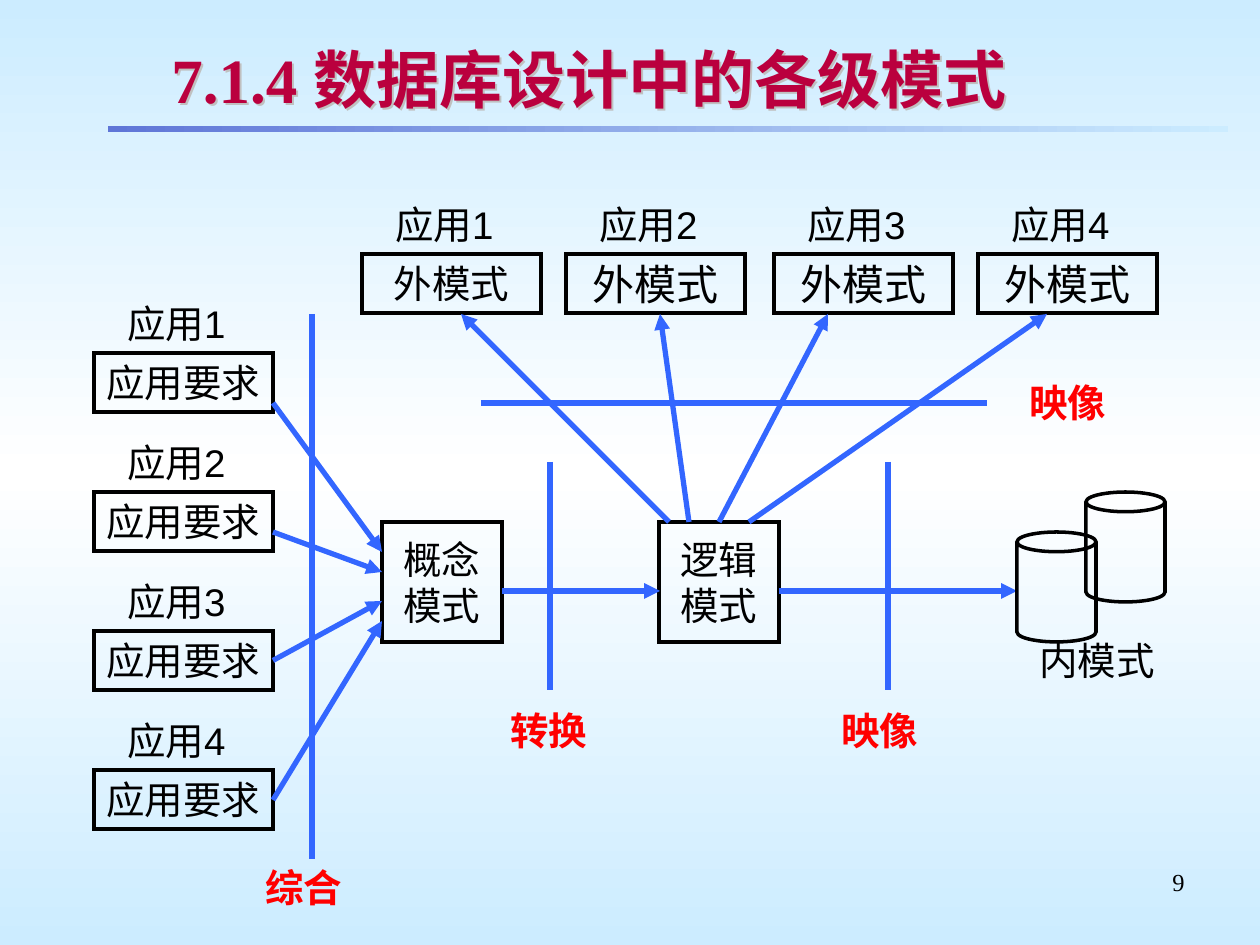
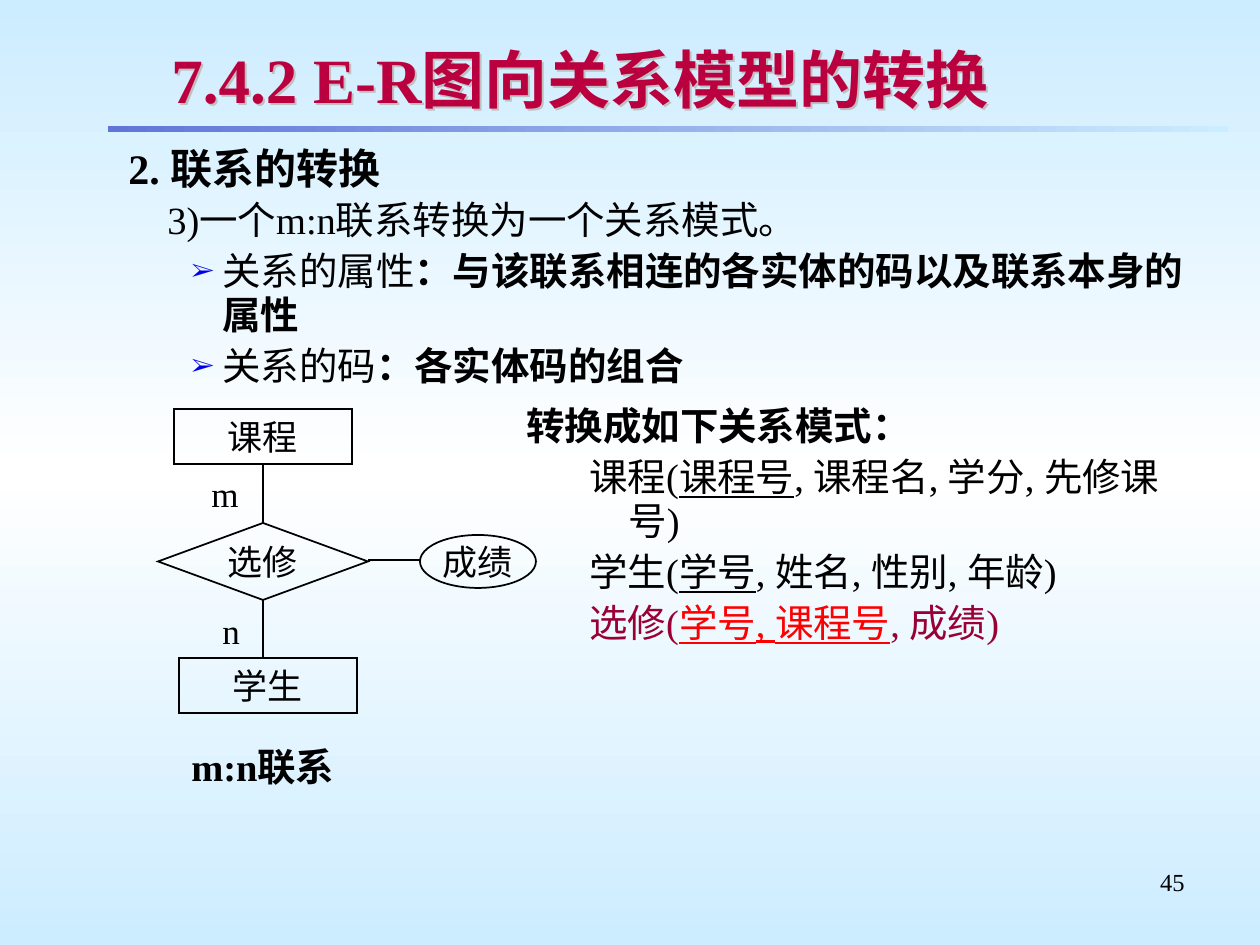
from copy import deepcopy
from dataclasses import dataclass, field
from itertools import zip_longest

from lxml.etree import SubElement
from pptx import Presentation
from pptx.dml.color import RGBColor
from pptx.enum.shapes import MSO_CONNECTOR, MSO_SHAPE
from pptx.enum.text import MSO_ANCHOR, PP_ALIGN
from pptx.oxml.ns import qn
from pptx.util import Emu, Pt

EMU_PER_PX = 914400 / 126
COLORS = {
    "sky": "CCECFF", "white": "FFFFFF", "rule": "5F76D7", "title": "BA003E",
    "ink": "000000", "arrow": "3366FF", "red": "FF0000", "wine": "990033",
    "bullet": "0000E8", "shadow": "C0C0C0",
}
SANS, SERIF = "Arial", "Times New Roman"
SANS_22 = {"size": Pt(22), "name": SANS, "bold": False, "color": "ink"}
SANS_24 = SANS_22 | {"size": Pt(24)}
RED_NOTE = SANS_22 | {"bold": True, "color": "red"}
SERIF_20 = SANS_22 | {"size": Pt(20), "name": SERIF}
SERIF_22 = SANS_22 | {"name": SERIF}
SERIF_BOLD = SERIF_22 | {"bold": True}
TITLE = SERIF_BOLD | {"size": Pt(36), "color": "title"}
HEADING = SERIF_BOLD | {"size": Pt(24)}
PAGE_NUMBER = SERIF_22 | {"size": Pt(14)}
KEY = {"underline": True}


@dataclass
class Box:
    """A preset shape, or a plain text label when kind is None."""
    x: int
    y: int
    w: int
    h: int
    text: str = ""
    fmt: dict = field(default_factory=lambda: SANS_22)
    kind: MSO_SHAPE | None = MSO_SHAPE.RECTANGLE
    line: int = 2


@dataclass
class Line:
    x1: int
    y1: int
    x2: int
    y2: int
    arrow: bool = False
    color: str = "arrow"
    width: int = 3


@dataclass
class Para:
    runs: list
    left: int
    hang: int = 0
    bullet: bool = False
    spacing: float = 0.95


def px(n: int) -> Emu:
    return Emu(round(n * EMU_PER_PX))


def rgb(name: str) -> RGBColor:
    return RGBColor.from_string(COLORS[name])


def label(x: int, y: int, text: str, fmt: dict = SANS_22, w: int = 110, h: int = 59) -> Box:
    return Box(x, y, w, h, text, fmt, None)


def set_gradient(fill, names: list[str], angle: int) -> None:
    """Spread the named colours evenly along a linear gradient."""
    fill.gradient()
    fill.gradient_angle = angle
    first = fill._fill._gradFill.find(qn("a:gsLst"))[0]
    for _ in names[2:]:
        first.addnext(deepcopy(first))
    for i, (stop, name) in enumerate(zip(fill.gradient_stops, names)):
        stop.position = i / (len(names) - 1)
        stop.color.rgb = rgb(name)


def add_run(p, text: str, fmt: dict) -> None:
    r = p.add_run()
    r.text = text
    for key, value in fmt.items():
        if key == "color":
            r.font.color.rgb = rgb(value)
        else:
            setattr(r.font, key, value)


def add_box(slide, box: Box):
    at = [px(n) for n in (box.x, box.y, box.w, box.h)]
    if box.kind is None:
        sp = slide.shapes.add_textbox(*at)
    else:
        sp = slide.shapes.add_shape(box.kind, *at)
        sp.shadow.inherit = False
        sp.fill.background()
        sp.line.color.rgb = rgb("ink")
        sp.line.width = Pt(box.line)
        SubElement(sp._element.spPr.find(qn("a:ln")), qn("a:miter"), lim="800000")
    tf = sp.text_frame
    tf.word_wrap = False
    if box.kind is not None:
        tf.vertical_anchor = MSO_ANCHOR.MIDDLE
    if box.text:
        for i, text in enumerate(box.text.split("\n")):
            p = tf.add_paragraph() if i else tf.paragraphs[0]
            p.alignment = PP_ALIGN.LEFT if box.kind is None else PP_ALIGN.CENTER
            add_run(p, text, box.fmt)
    return sp


def add_line(slide, line: Line):
    cn = slide.shapes.add_connector(
        MSO_CONNECTOR.STRAIGHT, *[px(n) for n in (line.x1, line.y1, line.x2, line.y2)])
    cn.line.color.rgb = rgb(line.color)
    cn.line.width = Pt(line.width)
    sp_pr = cn._element.spPr
    if line.arrow:
        SubElement(sp_pr.find(qn("a:ln")), qn("a:tailEnd"), type="triangle")
    SubElement(sp_pr, qn("a:effectLst"))
    return cn


def add_paragraphs(slide, at: tuple[int, int, int, int], paras: list[Para]) -> None:
    tf = slide.shapes.add_textbox(*[px(n) for n in at]).text_frame
    tf.word_wrap = True
    for i, para in enumerate(paras):
        p = tf.add_paragraph() if i else tf.paragraphs[0]
        p.line_spacing = para.spacing
        p.space_before = Pt(4.1)
        p_pr = p._p.get_or_add_pPr()
        p_pr.set("marL", str(px(para.left)))
        p_pr.set("indent", str(-px(para.hang)))
        if para.bullet:
            color = SubElement(p_pr, qn("a:buClr"))
            SubElement(color, qn("a:srgbClr"), val=COLORS["bullet"])
            SubElement(p_pr, qn("a:buSzPct"), val="65000")
            SubElement(p_pr, qn("a:buFont"), typeface=SERIF)
            SubElement(p_pr, qn("a:buChar"), char="➢")
        for text, fmt in para.runs:
            add_run(p, text, fmt)


def add_text_shadow(sp) -> None:
    """Give an unfilled text box a shadow, which falls on its letters."""
    effects = SubElement(sp._element.spPr, qn("a:effectLst"))
    shadow = SubElement(effects, qn("a:outerShdw"), dist=str(px(3)), dir="2700000")
    SubElement(shadow, qn("a:srgbClr"), val=COLORS["shadow"])


def new_slide(prs, title: str, number: int):
    """Add a slide with the shared rule, title and page number."""
    slide = prs.slides.add_slide(prs.slide_layouts[6])
    rule = add_box(slide, Box(108, 126, 1120, 6))
    set_gradient(rule.fill, ["rule", "sky"], 0)
    rule.line.fill.background()
    page = add_box(slide, label(903, 861, str(number), PAGE_NUMBER, 294, 66))
    page.text_frame.word_wrap = True
    page.text_frame.paragraphs[0].alignment = PP_ALIGN.RIGHT
    heading = add_box(slide, label(159, 36, title, TITLE, 1038, 84))
    heading.text_frame.word_wrap = True
    heading.text_frame.vertical_anchor = MSO_ANCHOR.MIDDLE
    add_text_shadow(heading)
    return slide


def add_app(slide, n: int, x: int, y: int, text: str, fmt: dict = SANS_22):
    """Draw a box with its numbered application label above."""
    add_box(slide, label(x + 21, y - 59, f"应用{n}", w=150))
    return add_box(slide, Box(x, y, 179, 59, text, fmt))


def build_schema_levels(prs) -> None:
    slide = new_slide(prs, "7.1.4 数据库设计中的各级模式", 9)
    needs = [add_app(slide, i + 1, 94, 353 + 139 * i, "应用要求") for i in range(4)]
    external = zip_longest((362, 566, 774, 978), [SANS_22], fillvalue=SANS_24)
    for n, (x, fmt) in enumerate(external, 1):
        add_app(slide, n, x, 254, "外模式", fmt)
    for x, text in ((382, "概念\n模式"), (659, "逻辑\n模式")):
        add_box(slide, Box(x, 522, 120, 120, text))

    merges = [add_line(slide, Line(273, y1, 382, y2, True))
              for y1, y2 in ((403, 552), (532, 572), (661, 601), (800, 621))]
    merges[2].begin_connect(needs[2], 3)
    for x1, x2 in ((669, 461), (689, 660), (719, 828), (749, 1047)):
        add_line(slide, Line(x1, 522, x2, 314, True))
    for x1, x2 in ((502, 660), (779, 1017)):
        add_line(slide, Line(x1, 591, x2, 591, True))
    for divider in (Line(312, 314, 312, 859), Line(550, 462, 550, 690),
                    Line(888, 462, 888, 690), Line(481, 403, 987, 403)):
        add_line(slide, divider)
    for x, y, text in ((253, 858, "综合"), (498, 701, "转换"),
                       (829, 701, "映像"), (1017, 373, "映像")):
        add_box(slide, label(x, y, text, RED_NOTE))

    for x, y in ((1017, 532), (1086, 492)):
        add_box(slide, Box(x, y, 79, 110, kind=MSO_SHAPE.CAN))
    add_box(slide, label(1027, 631, "内模式", w=160))


def build_er_conversion(prs) -> None:
    slide = new_slide(prs, "7.4.2 E-R图向关系模型的转换", 45)
    add_paragraphs(slide, (53, 136, 1166, 262), [
        Para([("2. 联系的转换", HEADING)], 102, 39, spacing=1.0),
        Para([("3)一个m:n联系转换为一个关系模式。", SERIF_22)], 102),
        Para([("关系的属性", SERIF_22),
              ("：与该联系相连的各实体的码以及联系本身的属性", SERIF_BOLD)], 157, 31, True),
        Para([("关系的码", SERIF_22), ("：各实体码的组合", SERIF_BOLD)], 157, 31, True),
    ])

    course = add_box(slide, Box(174, 409, 178, 55, "课程", SERIF_20, line=1))
    elects = add_box(slide, Box(158, 523, 210, 77, "选修", SERIF_20, MSO_SHAPE.DIAMOND, 1))
    add_box(slide, Box(179, 658, 178, 55, "学生", SERIF_20, line=1))
    add_box(slide, Box(420, 535, 116, 53, "成绩", SANS_22 | {"size": Pt(20)},
                    MSO_SHAPE.OVAL, 1))
    to_course, to_student, _ = [
        add_line(slide, Line(*ends, color="ink", width=1))
        for ends in ((263, 523, 263, 464), (263, 600, 263, 658), (420, 560, 368, 560))]
    to_course.begin_connect(elects, 0)
    to_course.end_connect(course, 2)
    to_student.begin_connect(elects, 2)
    add_box(slide, label(199, 466, "m", SERIF_20, 60, 55))
    add_box(slide, label(210, 603, "n", SERIF_20, 50, 55))
    add_box(slide, label(179, 737, "m:n联系", SERIF_BOLD, 200))

    wine, red_key = SERIF_22 | {"color": "wine"}, SERIF_22 | KEY | {"color": "red"}
    relations = [
        ("课程(", "课程号", ", 课程名, 学分, 先修课号)", SERIF_22, SERIF_22 | KEY),
        ("学生(", "学号", ", 姓名, 性别, 年龄)", SERIF_22, SERIF_22 | KEY),
        ("选修(", "学号, 课程号", ", 成绩)", wine, red_key),
    ]
    add_paragraphs(slide, (514, 399, 703, 378), [
        Para([("转换成如下关系模式：", SERIF_BOLD)], 48, 48),
        *[Para([(name, fmt), (key, key_fmt), (rest, fmt)], 102, 39)
          for name, key, rest, fmt, key_fmt in relations],
    ])


def main() -> None:
    prs = Presentation()
    prs.slide_width, prs.slide_height = px(1260), px(945)
    set_gradient(prs.slide_master.background.fill, ["sky", "white", "sky"], 90)
    build_schema_levels(prs)
    build_er_conversion(prs)
    prs.save("out.pptx")


if __name__ == "__main__":
    main()
